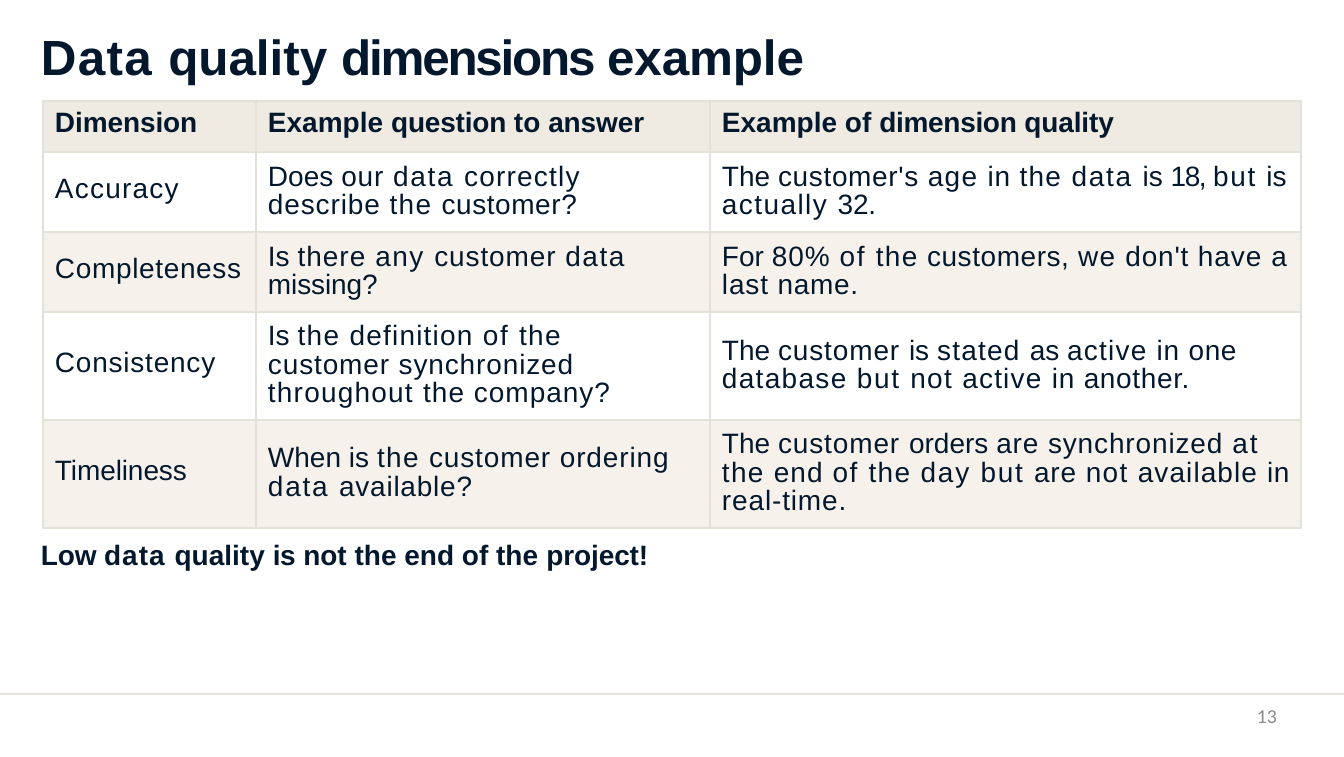
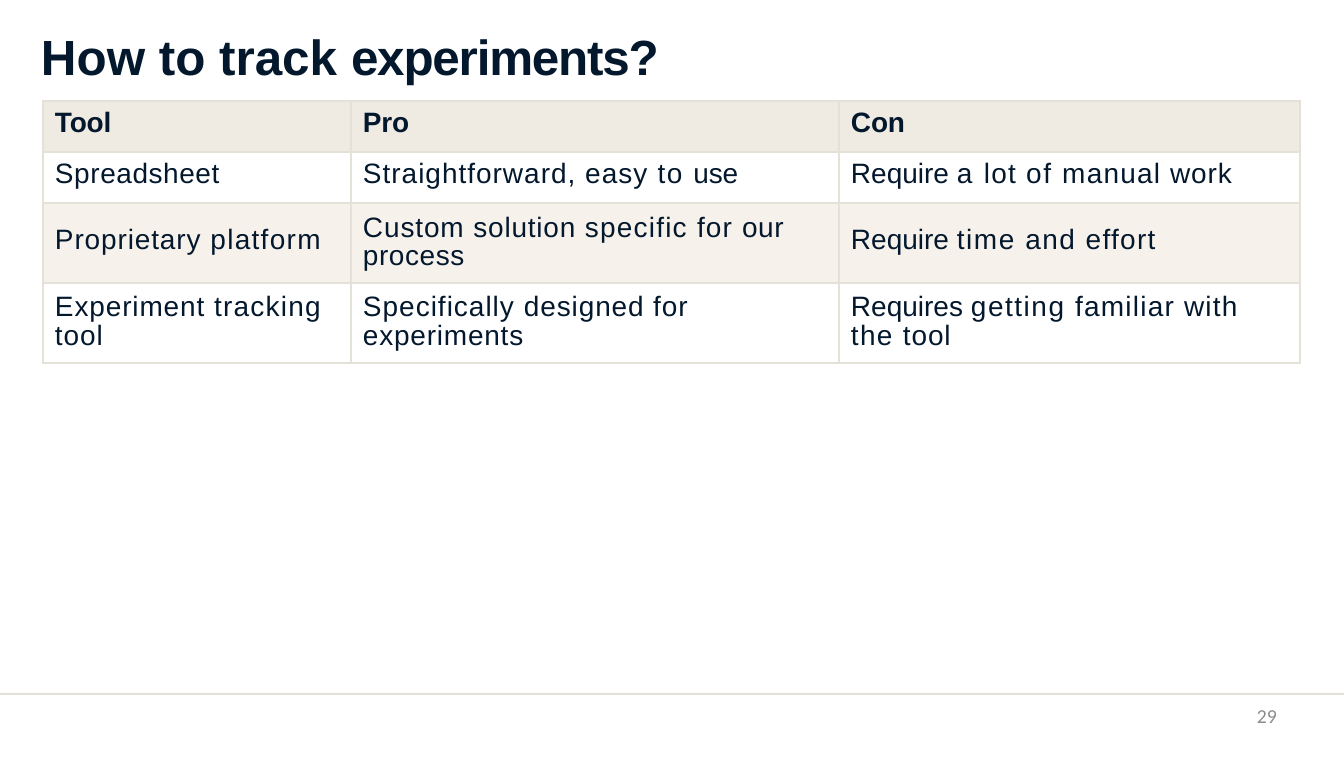
from dataclasses import dataclass
from typing import Any, NamedTuple

from lxml.etree import SubElement
from pptx import Presentation
from pptx.dml.color import RGBColor
from pptx.enum.shapes import MSO_SHAPE
from pptx.enum.text import MSO_ANCHOR, MSO_AUTO_SIZE, PP_ALIGN
from pptx.oxml.ns import qn
from pptx.util import Emu, Pt

Span = tuple[str, float]

INK, BORDER, HEADER, BAND, MUTED = "04182D", "E4E1D9", "EFEBE3", "F6F2EB", "8C8C8C"
PAGE_WIDTH, PAGE_HEIGHT = 1344, 757
TABLE_LEFT, TABLE_TOP = 43, 101
LINE_HEIGHT = Pt(25.8)

TITLE_FONT = {"name": "Arial", "size": Pt(45), "bold": True}
STRONG_FONT = {"name": "Arial", "size": Pt(25.5), "bold": True}
CELL_FONT = {"name": "Arial", "size": Pt(25.5), "bold": False}
NUMBER_FONT = {"name": "Calibri", "size": Pt(18), "bold": False}


class Area(NamedTuple):
    left: int
    top: int
    width: int
    height: int


class Column(NamedTuple):
    width: int
    right_inset: int


class Cell(NamedTuple):
    spans: tuple[Span, ...]
    wrapped: bool


@dataclass
class Lesson:
    number: str
    title: tuple[Span, ...]
    columns: list[Column]
    heights: list[int]
    rows: list[list[Cell]]
    remark: tuple[Span, ...] = ()


TITLE_AREA = Area(41, 24, 1031, 62)
REMARK_AREA = Area(41, 536, 618, 36)
NUMBER_AREA = Area(968, 704, 309, 38)
RULE_AREA = Area(0, 693, PAGE_WIDTH, 2)


def px(length: int) -> Emu:
    return Emu(round(length * 914400 / 79))


def color(value: str) -> RGBColor:
    return RGBColor.from_string(value)


def single(*spans: Span) -> Cell:
    return Cell(spans, False)


def wrapped(*spans: Span) -> Cell:
    return Cell(spans, True)


def apply(target: Any, values: dict[str, Any]) -> None:
    for name, value in values.items():
        setattr(target, name, value)


def place(area: Area) -> list[Emu]:
    return [px(length) for length in area]


def write(para: Any, spans: tuple[Span, ...], font: dict[str, Any], ink: str = INK) -> None:
    for text, spacing in spans:
        span = para.add_run()
        span.text = text
        apply(span.font, font)
        span.font.color.rgb = color(ink)
        span._r.get_or_add_rPr().set("spc", str(round(spacing * 100)))


def fill_box(box: Any, spans: tuple[Span, ...], font: dict[str, Any], ink: str = INK,
             top_inset: int = 2, align: PP_ALIGN = PP_ALIGN.LEFT) -> None:
    apply(box.text_frame, {
        "word_wrap": True, "auto_size": MSO_AUTO_SIZE.NONE, "vertical_anchor": MSO_ANCHOR.TOP,
        "margin_left": 0, "margin_right": 0, "margin_top": px(top_inset), "margin_bottom": 0,
    })
    para = box.text_frame.paragraphs[0]
    para.alignment = align
    write(para, spans, font, ink)


def draw_borders(cell: Any) -> None:
    properties = cell._tc.get_or_add_tcPr()
    for index, side in enumerate(("a:lnL", "a:lnR", "a:lnT", "a:lnB")):
        line = SubElement(properties, qn(side), w=str(Pt(2.25)))
        fill = SubElement(line, qn("a:solidFill"))
        SubElement(fill, qn("a:srgbClr"), val=BORDER)
        properties.insert(index, line)


def draw_cell(cell: Any, content: Cell, row: int, column: Column) -> None:
    apply(cell, {
        "vertical_anchor": MSO_ANCHOR.MIDDLE,
        "margin_left": px(12), "margin_right": px(column.right_inset),
        "margin_top": 0, "margin_bottom": px(0 if content.wrapped else 7),
    })
    if row % 2:
        cell.fill.background()
    else:
        cell.fill.solid()
        cell.fill.fore_color.rgb = color(BAND if row else HEADER)
    draw_borders(cell)
    para = cell.text_frame.paragraphs[0]
    if content.wrapped:
        para.line_spacing = LINE_HEIGHT
    write(para, content.spans, CELL_FONT if row else STRONG_FONT)


def draw_table(page: Any, lesson: Lesson) -> None:
    area = Area(TABLE_LEFT, TABLE_TOP, sum(column.width for column in lesson.columns), sum(lesson.heights))
    table = page.shapes.add_table(len(lesson.rows), len(lesson.columns), *place(area)).table
    apply(table, {"first_row": False, "horz_banding": False})
    for index, column in enumerate(lesson.columns):
        table.columns[index].width = px(column.width)
    for row, contents in enumerate(lesson.rows):
        table.rows[row].height = px(lesson.heights[row])
        for index, content in enumerate(contents):
            draw_cell(table.cell(row, index), content, row, lesson.columns[index])


def draw_rule(page: Any) -> None:
    rule = page.shapes.add_shape(MSO_SHAPE.RECTANGLE, *place(RULE_AREA))
    rule.shadow.inherit = False
    rule.fill.solid()
    rule.fill.fore_color.rgb = color(BORDER)
    rule.line.fill.background()


def draw_page(deck: Any, lesson: Lesson) -> None:
    page = deck.slides.add_slide(deck.slide_layouts[5])
    draw_rule(page)
    title = page.shapes.title
    apply(title, dict(zip(Area._fields, place(TITLE_AREA))))
    fill_box(title, lesson.title, TITLE_FONT)
    draw_table(page, lesson)
    if lesson.remark:
        fill_box(page.shapes.add_textbox(*place(REMARK_AREA)), lesson.remark, STRONG_FONT)
    number = page.shapes.add_textbox(*place(NUMBER_AREA))
    fill_box(number, ((lesson.number, 0),), NUMBER_FONT, MUTED, 0, PP_ALIGN.RIGHT)


LESSONS = [
    Lesson(
        number="13",
        title=(("Data ", 1.2), ("quality ", 0), ("dimensions ", -2), ("example", -0.1)),
        columns=[Column(213, 0), Column(454, 17), Column(591, 8)],
        heights=[51, 80, 80, 108, 108],
        rows=[
            [single(("Dimension", -0.1)),
             single(("Example ", 0), ("question ", -0.2), ("to ", 0), ("answer", -0.1)),
             single(("Example of ", 0), ("dimension ", -0.3), ("quality", -0.1))],
            [single(("Accuracy", 1.1)),
             wrapped(("Does ", 0), ("our ", 0.8), ("data ", 1.6), ("correctly ", 1.1),
                     ("describe ", 0.8), ("the ", 1.2), ("customer?", 0.5)),
             wrapped(("The ", 0), ("customer's ", 0.6), ("age ", 1.2), ("in ", 0.7), ("the ", 1.2),
                     ("data ", 1.6), ("is ", 0), ("18, ", -1.3), ("but ", 1.5), ("is ", -0.2),
                     ("actually ", 1.3), ("32.", -0.2))],
            [single(("Completeness", 0.6)),
             wrapped(("Is ", 0), ("there ", 0.9), ("any ", 1.4), ("customer ", 0.8),
                     ("data ", 1.4), ("missing?", -0.1)),
             wrapped(("For ", 0), ("80% ", 0.9), ("of ", 1.5), ("the", 1.2), (" customers, ", 0.5),
                     ("we ", 1.1), ("don't ", 0.7), ("have a ", 0.9), ("last ", 0.8), ("name.", 0.6))],
            [single(("Consistency", 0.7)),
             wrapped(("Is ", 0), ("the ", 1.2), ("definition ", 1.1), ("of ", 1.5), ("the ", 1.2),
                     ("customer synchronized ", 0.8), ("throughout ", 1.1), ("the company?", 0.9)),
             wrapped(("The ", 0), ("customer ", 0.8), ("is ", 0), ("stated ", 1.1), ("as ", 0),
                     ("active ", 1.1), ("in ", 0.7), ("one ", 0.5), ("database ", 1.2), ("but ", 1.5),
                     ("not ", 1.2), ("active ", 1.1), ("in ", 0.7), ("another.", 0.6))],
            [single(("Timeliness", -0.1)),
             wrapped(("When is ", 0), ("the ", 1.2), ("customer ordering ", 0.8),
                     ("data ", 1.6), ("available?", 0.7)),
             wrapped(("The ", 0), ("customer ", 0.8), ("orders ", 0), ("are synchronized ", 0.8),
                     ("at ", 1.7), ("the ", 1.2), ("end ", 0.9), ("of ", 1.5), ("the ", 1.2),
                     ("day ", 1.6), ("but ", 1.5), ("are ", 0.8), ("not ", 1.2), ("available ", 1),
                     ("in ", 0.5), ("real-time.", 0.8))],
        ],
        remark=(("Low ", -0.2), ("data ", 0.9), ("quality ", 0), ("is ", -0.3),
                ("not the end of the ", 0), ("project!", -0.1)),
    ),
    Lesson(
        number="29",
        title=(("How to track ", 0), ("experiments?", -1.1)),
        columns=[Column(308, 8), Column(488, 8), Column(461, 20)],
        heights=[51, 51, 80, 80],
        rows=[
            [single(("Tool", -0.2)), single(("Pro", -0.2)), single(("Con", -0.2))],
            [single(("Spreadsheet", 0.5)),
             single(("Straightforward, easy ", 0.9), ("to ", 1.4), ("use", -0.2)),
             single(("Require ", 0), ("a ", 1.6), ("lot ", 1.1), ("of ", 1.5),
                    ("manual", 1.1), (" work", 0.8))],
            [single(("Proprietary ", 0.8), ("platform", 1.2)),
             wrapped(("Custom ", 0.8), ("solution ", 0.7), ("specific ", 1.1), ("for ", 1),
                     ("our process", 0.5)),
             single(("Require ", 0), ("time ", 1.4), ("and ", 1.3), ("effort", 1.2))],
            [wrapped(("Experiment ", 0.8), ("tracking ", 1.1), ("tool", 0.8)),
             wrapped(("Specifically ", 0.9), ("designed for ", 0.8), ("experiments", 0.7)),
             wrapped(("Requires ", 0), ("getting ", 1.4), ("familiar with ", 1.1),
                     ("the ", 1.2), ("tool", 0.8))],
        ],
    ),
]


def main() -> None:
    deck = Presentation()
    apply(deck, {"slide_width": px(PAGE_WIDTH), "slide_height": px(PAGE_HEIGHT)})
    for lesson in LESSONS:
        draw_page(deck, lesson)
    deck.save("out.pptx")


if __name__ == "__main__":
    main()
